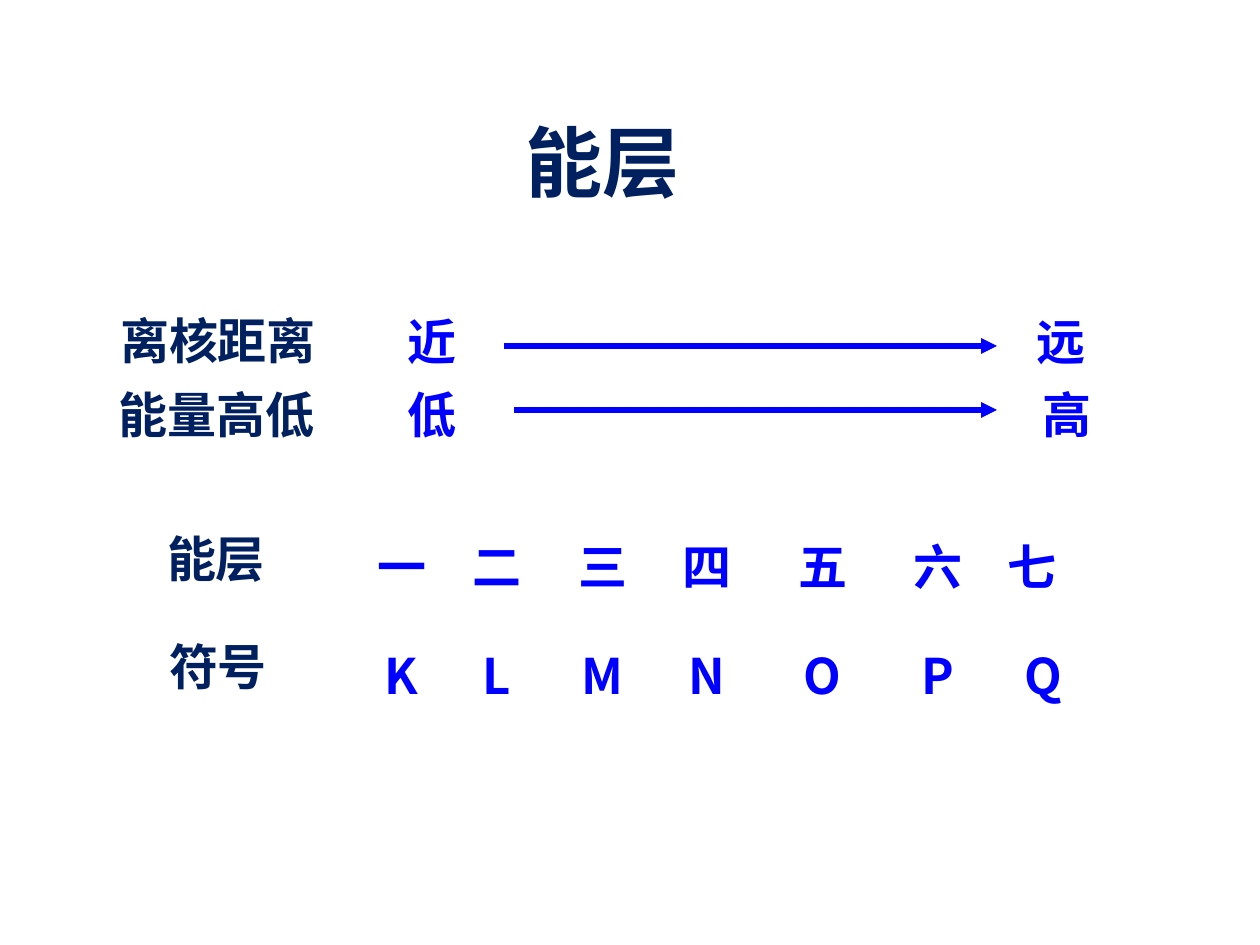
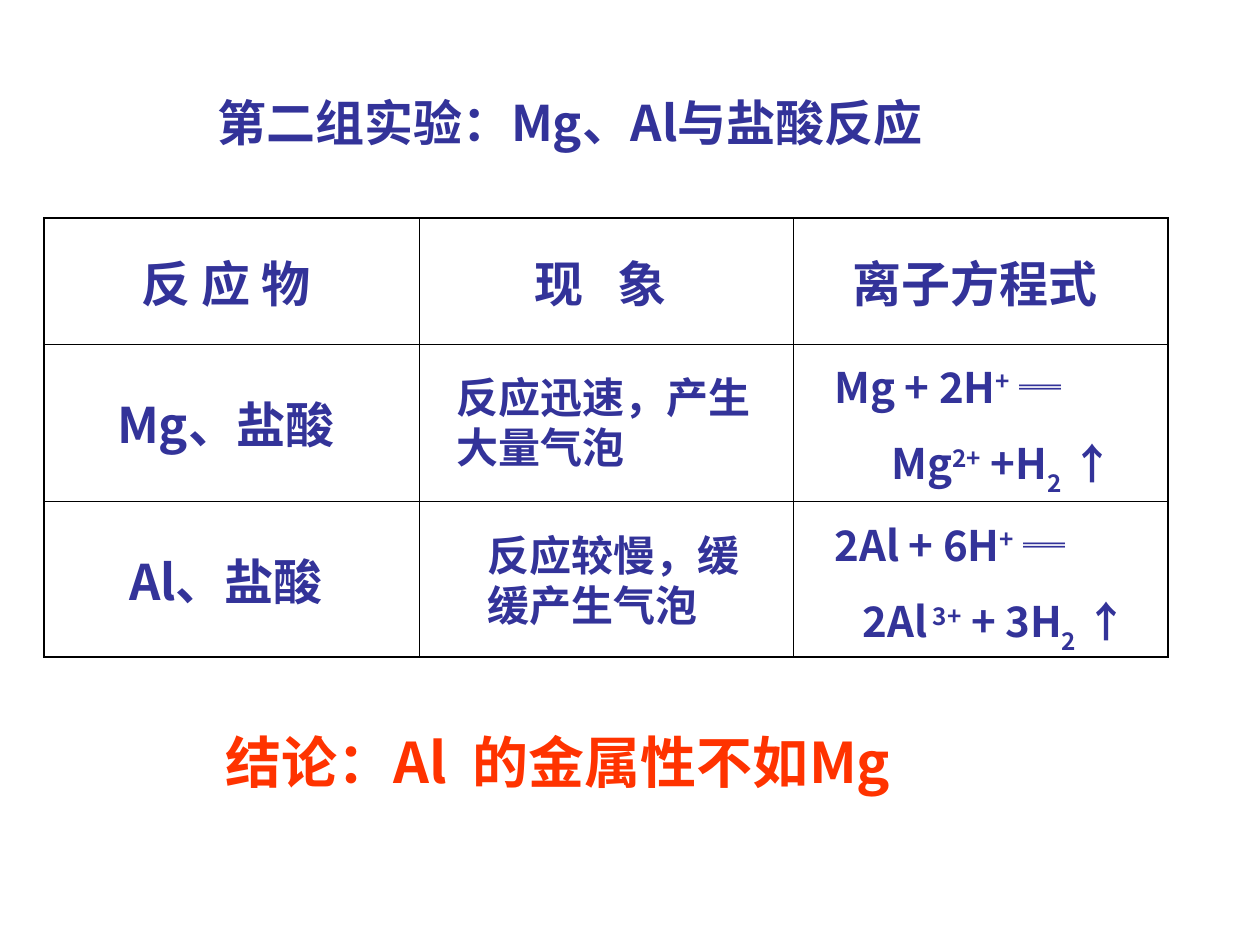
from lxml.etree import SubElement
from pptx import Presentation
from pptx.dml.color import RGBColor
from pptx.enum.shapes import MSO_CONNECTOR
from pptx.enum.text import MSO_ANCHOR, MSO_AUTO_SIZE, PP_ALIGN
from pptx.oxml.ns import qn
from pptx.util import Pt

PX = 914400 // 126
FONT = "Noto Sans CJK SC"
NAVY = RGBColor(0x00, 0x20, 0x60)
BLUE = RGBColor(0x00, 0x00, 0xFF)
INDIGO = RGBColor(0x33, 0x33, 0x99)
ORANGE = RGBColor(0xFF, 0x33, 0x00)
LEFT, CENTER = PP_ALIGN.LEFT, PP_ALIGN.CENTER


def write(paragraph, runs, size, color, align=CENTER):
    """Add runs, each a text or a (text, attribute, value) triple."""
    paragraph.alignment = align
    for part in runs:
        text, *extra = (part,) if isinstance(part, str) else part
        run = paragraph.add_run()
        run.text = text
        run.font.size, run.font.bold = Pt(size), True
        run.font.name, run.font.color.rgb = FONT, color
        props = run.font._element
        SubElement(props, qn("a:ea")).set("typeface", FONT)
        if extra:
            props.set(*extra)


def place(shape, box, runs, size, color, align=CENTER):
    """Put a title or text box at a px box and write its first paragraph."""
    shape.left, shape.top, shape.width, shape.height = (v * PX for v in box)
    frame = shape.text_frame
    frame.word_wrap = True
    frame.auto_size = MSO_AUTO_SIZE.SHAPE_TO_FIT_TEXT
    frame.vertical_anchor = MSO_ANCHOR.TOP
    write(frame.paragraphs[0], runs, size, color, align)
    return frame


prs = Presentation()
prs.slide_width, prs.slide_height = 1260 * PX, 945 * PX
title_only = prs.slide_layouts[5]

# Slide 1: energy levels
levels = prs.slides.add_slide(title_only)
place(levels.shapes.title, (161, 108, 883, 106), ["能层"], 44, NAVY)

# Row labels
for label, x, y, width in [("离核距离", 44, 304, 348), ("能量高低", 54, 378, 325),
                           ("能层", 69, 522, 294), ("符号", 71, 630, 294)]:
    place(levels.shapes.add_textbox(0, 0, 0, 0), (x, y, width, 72), [label], 28, NAVY)

# Trends, from the nucleus outwards
for start, end, y, end_x, arrow_x, arrow_y in [("近", "远", 305, 977, 504, 346),
                                               ("低", "高", 378, 983, 514, 410)]:
    for word, x in [(start, 348), (end, end_x)]:
        place(levels.shapes.add_textbox(0, 0, 0, 0), (x, y, 168, 72), [word], 28, BLUE)
    arrow = levels.shapes.add_connector(
        MSO_CONNECTOR.STRAIGHT, arrow_x * PX, arrow_y * PX, 997 * PX, arrow_y * PX)
    arrow.line.color.rgb, arrow.line.width = BLUE, Pt(3)
    SubElement(arrow.line._get_or_add_ln(), qn("a:tailEnd")).set("type", "triangle")
    SubElement(arrow._element.spPr, qn("a:effectLst"))

# Level numbers above their symbols
level_xs = [365, 460, 566, 670, 786, 901]
for names, y, last_x in [("一二三四五六七", 530, 995), ("KLMNOPQ", 639, 1007)]:
    for name, x in zip(names, level_xs + [last_x]):
        place(levels.shapes.add_textbox(0, 0, 0, 0), (x, y, 73, 72), [name], 28, BLUE)

# Slide 2: magnesium and aluminium with hydrochloric acid
experiment = prs.slides.add_slide(title_only)
place(experiment.shapes.title, (205, 86, 872, 72),
      ["第二组实验：Mg、Al与盐酸反应"], 28, INDIGO, LEFT)

# Results table
reactions = experiment.shapes.add_table(
    3, 3, 44 * PX, 218 * PX, 1124 * PX, 439 * PX).table
reactions.first_row = reactions.horz_banding = False
for column, width in zip(reactions.columns, (375, 374, 375)):
    column.width = width * PX
for row, height in zip(reactions.rows, (126, 157, 156)):
    row.height = height * PX
cell_runs = {
    (0, 0): ["反 应 物 "],
    (0, 1): ["现", (" ", "spc", "1260"), "象 "],
    (0, 2): ["离子方程式 "],
    (1, 0): ["Mg、盐酸 "],
    (2, 0): ["Al、盐酸 "],
}
for r in range(3):
    for c in range(3):
        cell = reactions.cell(r, c)
        cell.vertical_anchor = MSO_ANCHOR.MIDDLE
        edges = {"L": c == 0, "R": c == 2, "T": r == 0, "B": r == 2}
        for side, is_outer in edges.items():
            border = SubElement(cell._tc.get_or_add_tcPr(), qn(f"a:ln{side}"))
            border.set("w", str(Pt(1.08 if is_outer else 0.45)))
            fill = SubElement(border, qn("a:solidFill"))
            SubElement(fill, qn("a:srgbClr")).set("val", "000000")
        cell.fill.background()
        if (r, c) in cell_runs:
            write(cell.text_frame.paragraphs[0], cell_runs[r, c], 28, INDIGO)

# Observations
for observation, box in [("反应迅速，产生大量气泡", (444, 365, 336, 113)),
                         ("反应较慢，缓缓产生气泡", (475, 523, 294, 113))]:
    place(experiment.shapes.add_textbox(0, 0, 0, 0), box, [observation], 24, INDIGO, LEFT)

# Conclusion
place(experiment.shapes.add_textbox(0, 0, 0, 0), (213, 721, 840, 81),
      ["结论：Al", (" ", "spc", "720"), "的金属性不如Mg"], 32, ORANGE, LEFT)

# Ionic equations, products indented on the second line
SUP, SUB = ("baseline", "30000"), ("baseline", "-30000")
for y, height, reactants, products, indent in [
    (355, 149, ["Mg + 2H", ("+", *SUP), " ═"],
     ["Mg", ("2+", *SUP), " +H", ("2", *SUB), " ↑"], 57),
    (513, 226, ["2Al + 6H", ("+", *SUP), " ═"],
     ["2Al", (" 3+", *SUP), " + 3H", ("2", *SUB), " ↑"], 28),
]:
    equation = place(experiment.shapes.add_textbox(0, 0, 0, 0), (822, y, 399, height),
                     reactants, 24, INDIGO, LEFT)
    second_line = equation.add_paragraph()
    second_line.space_before = Pt(15)
    write(second_line, products, 24, INDIGO, LEFT)
    second_line._p.get_or_add_pPr().set("marL", str(indent * PX))

prs.save("out.pptx")
